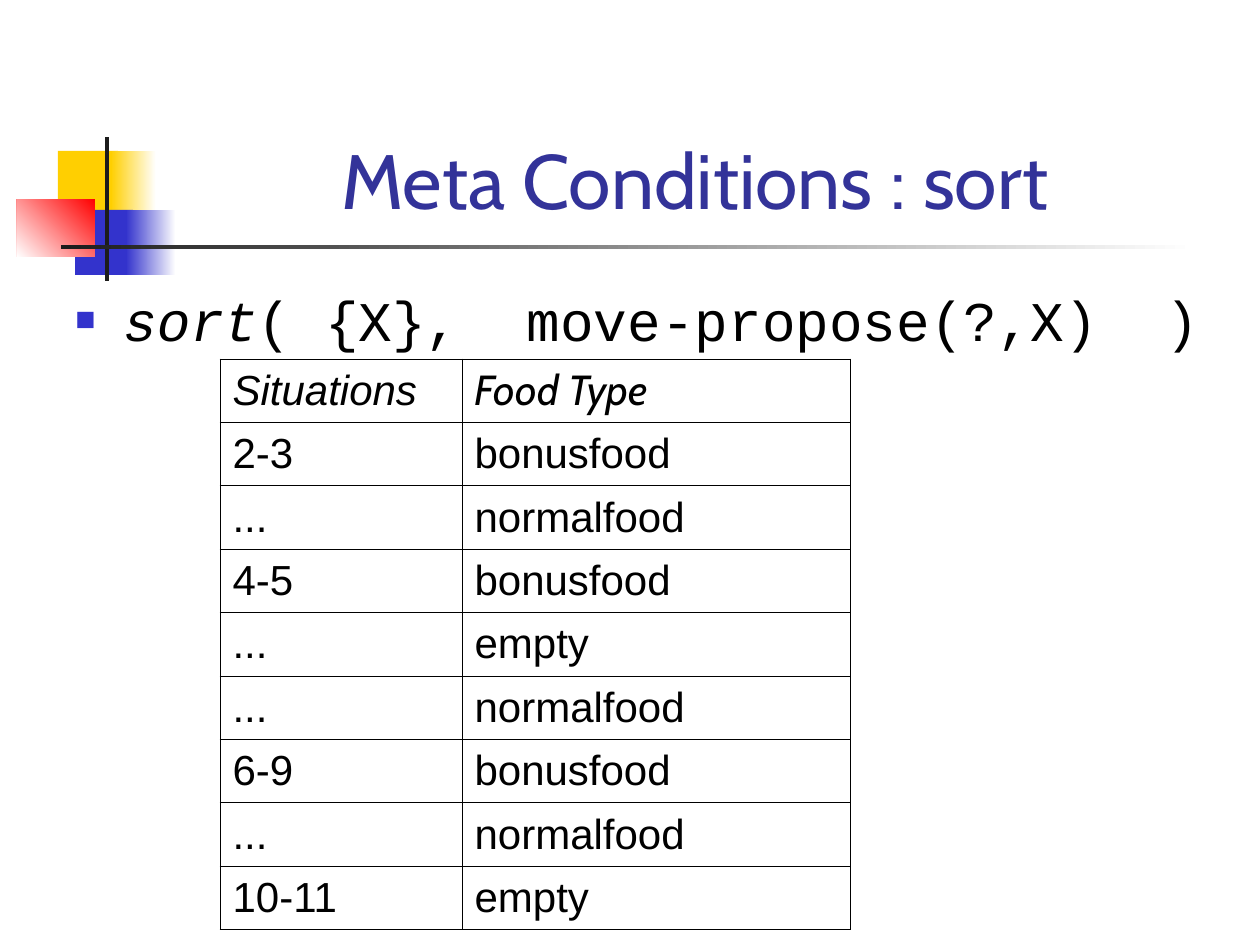
from lxml import etree
from pptx import Presentation
from pptx.dml.color import RGBColor
from pptx.enum.shapes import MSO_SHAPE
from pptx.enum.text import MSO_ANCHOR, PP_ALIGN
from pptx.oxml.ns import qn
from pptx.util import Pt

RECTANGLE = MSO_SHAPE.RECTANGLE
MIDDLE, BOTTOM, TOP = MSO_ANCHOR.MIDDLE, MSO_ANCHOR.BOTTOM, MSO_ANCHOR.TOP
CENTER, LEFT = PP_ALIGN.CENTER, PP_ALIGN.LEFT

WHITE = RGBColor(0xFF, 0xFF, 0xFF)
BLACK = RGBColor(0x00, 0x00, 0x00)
CHARCOAL = RGBColor(0x1C, 0x1C, 0x1C)
YELLOW = RGBColor(0xFF, 0xCF, 0x01)
BLUE = RGBColor(0x33, 0x33, 0xCC)
NAVY = RGBColor(0x33, 0x33, 0x99)
RED = RGBColor(0xFF, 0x00, 0x00)

EMU_PER_PX = 914400 / 126
HANGING = 48
SANS, HEADING, CODE = "Arial", "Cabin", "Courier New"


def px(length):
    return round(length * EMU_PER_PX)


class SlideBuilder:
    def __init__(self, slide):
        self.slide = slide
        self.cell_size = 24
        self.border_width = Pt(0.45)

    def block(self, box, *colors, angle=180):
        shape = self.slide.shapes.add_shape(RECTANGLE, *map(px, box))
        shape.shadow.inherit = False
        shape.line.fill.background()
        if len(colors) == 1:
            shape.fill.solid()
            shape.fill.fore_color.rgb = colors[0]
            return
        shape.fill.gradient()
        shape.fill.gradient_angle = angle
        for position, (stop, color) in enumerate(zip(shape.fill.gradient_stops, colors)):
            stop.position = position
            stop.color.rgb = color

    def run(self, paragraph, text, size, face, color=BLACK, italic=False):
        run = paragraph.add_run()
        run.text = text
        font = run.font
        font.size, font.name, font.italic = Pt(size), face, italic
        font.color.rgb = color

    def text(self, box, anchor, align):
        frame = self.slide.shapes.add_textbox(*map(px, box)).text_frame
        frame.word_wrap = True
        frame.vertical_anchor = anchor
        paragraph = frame.paragraphs[0]
        paragraph.alignment = align
        return paragraph

    def hang(self, paragraph):
        properties = paragraph._p.get_or_add_pPr()
        properties.set("marL", str(px(HANGING)))
        properties.set("indent", str(-px(HANGING)))
        return properties

    def bullet(self, paragraph, char, color, percent):
        properties = self.hang(paragraph)
        tint = etree.SubElement(properties, qn("a:buClr"))
        etree.SubElement(tint, qn("a:srgbClr"), val=str(color))
        etree.SubElement(properties, qn("a:buSzPct"), val=str(percent * 1000))
        etree.SubElement(properties, qn("a:buFont"), typeface=SANS)
        etree.SubElement(properties, qn("a:buChar"), char=char)

    def border(self, cell, color):
        properties = cell._tc.get_or_add_tcPr()
        for side in ("lnL", "lnR", "lnT", "lnB"):
            line = etree.SubElement(properties, qn(f"a:{side}"), w=str(self.border_width))
            fill = etree.SubElement(line, qn("a:solidFill"))
            etree.SubElement(fill, qn("a:srgbClr"), val=str(color))

    def table(self, box, widths, header_faces, rows):
        table = self.slide.shapes.add_table(len(rows), len(widths), *map(px, box)).table
        table.first_row = table.horz_banding = False
        for column, width in zip(table.columns, widths):
            column.width = px(width)
        for r, values in enumerate(rows):
            for c, value in enumerate(values):
                cell = table.cell(r, c)
                cell.vertical_anchor = MIDDLE
                self.border(cell, BLACK)
                cell.fill.background()
                paragraph = cell.text_frame.paragraphs[0]
                self.hang(paragraph)
                face = SANS if r else header_faces[c]
                self.run(paragraph, value, self.cell_size, face, italic=r == 0)


def main():
    deck = Presentation()
    deck.slide_width, deck.slide_height = px(1260), px(945)
    builder = SlideBuilder(deck.slides.add_slide(deck.slide_layouts[6]))

    builder.block((58, 151, 60, 66), YELLOW)
    builder.block((111, 151, 45, 66), WHITE, YELLOW)
    builder.block((75, 210, 58, 65), BLUE)
    builder.block((126, 210, 50, 65), WHITE, BLUE)
    builder.block((17, 199, 78, 58), RED, WHITE, angle=225)
    builder.block((105, 137, 4, 144), CHARCOAL)
    builder.block((61, 245, 1134, 4), WHITE, CHARCOAL)

    title = builder.text((158, 29, 1074, 202), BOTTOM, CENTER)
    builder.run(title, "Meta Conditions : sort", 44, HEADING, NAVY)

    food_by_situation = [
        ("Situations", "Food Type"),
        ("2-3", "bonusfood"),
        ("...", "normalfood"),
        ("4-5", "bonusfood"),
        ("...", "empty"),
        ("...", "normalfood"),
        ("6-9", "bonusfood"),
        ("...", "normalfood"),
        ("10-11", "empty"),
    ]
    builder.table((220, 359, 630, 571), (242, 388), (SANS, HEADING), food_by_situation)

    condition = builder.text((63, 279, 1171, 567), TOP, LEFT)
    builder.bullet(condition, "■", BLUE, 60)
    builder.run(condition, "sort", 32, CODE, italic=True)
    builder.run(condition, "( {X},  move-propose(?,X)  )", 32, CODE)

    deck.save("out.pptx")


if __name__ == "__main__":
    main()
